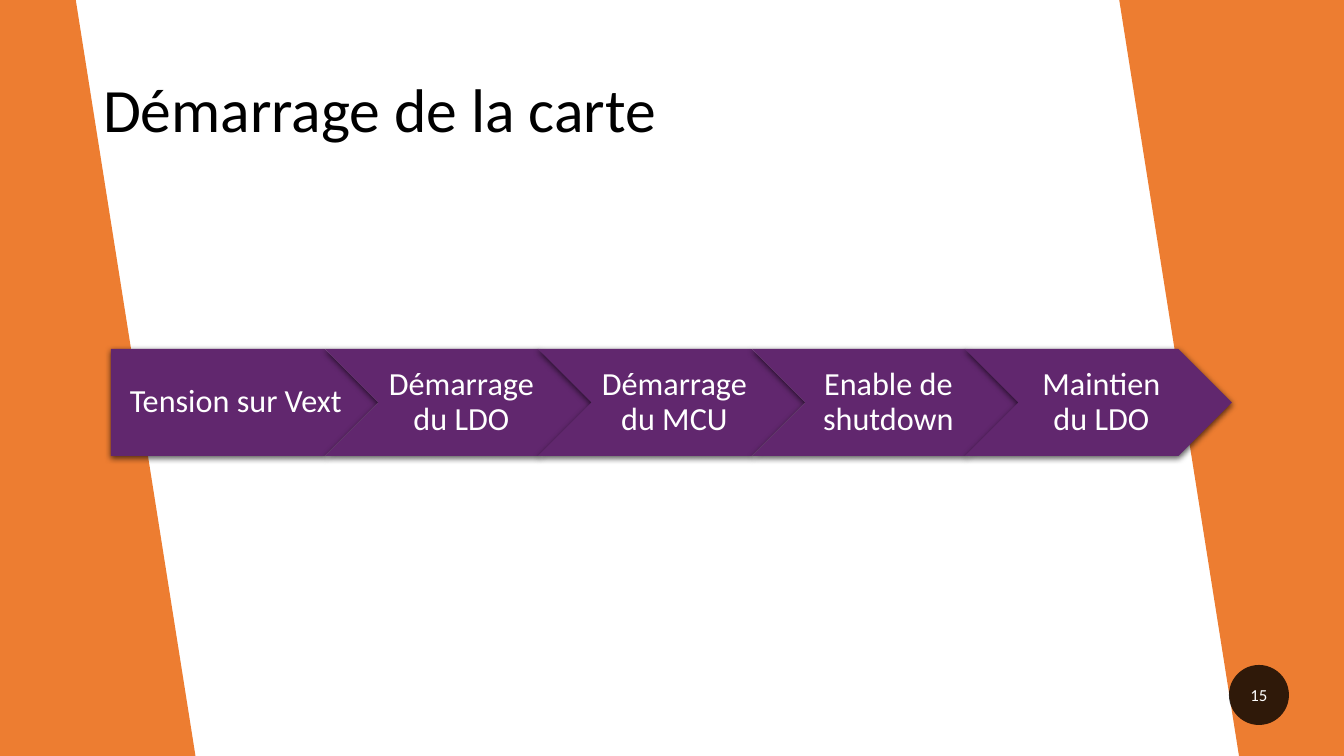
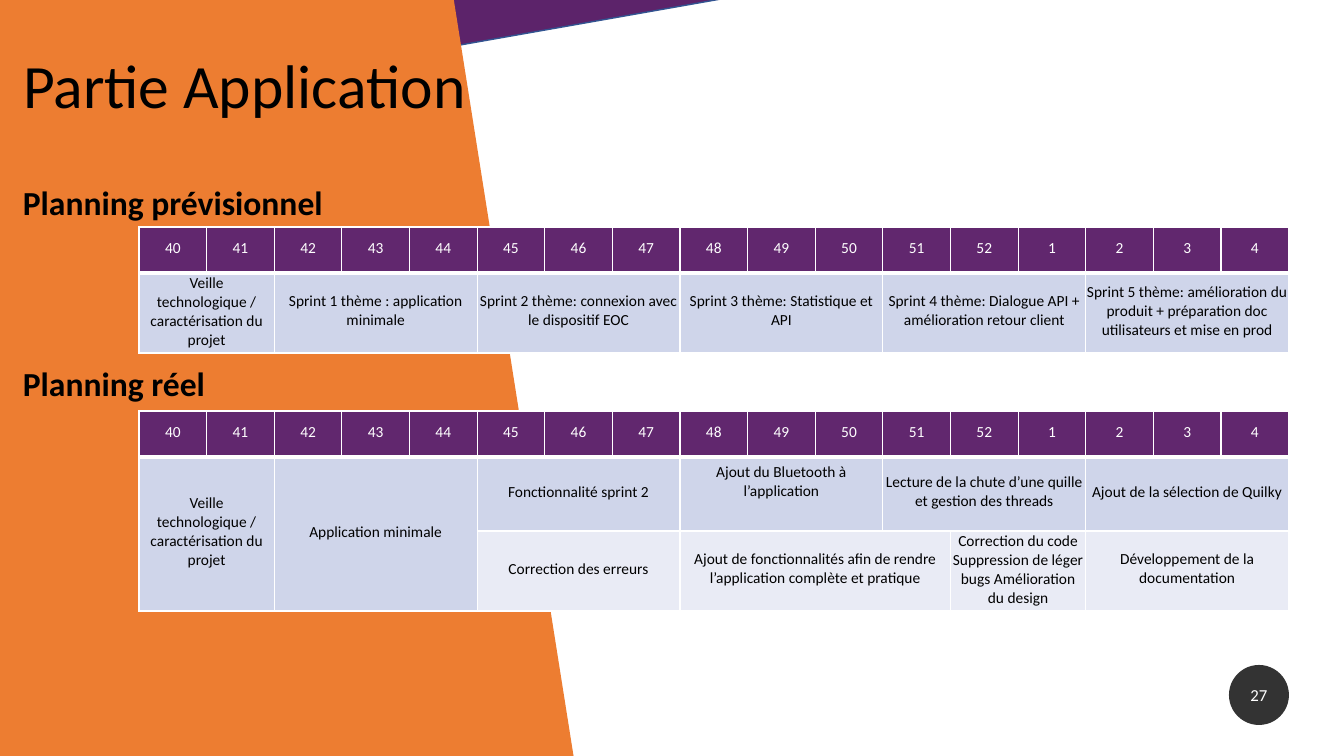
"""Build two project slides: the board start-up chain and the application schedule."""
from dataclasses import dataclass

from lxml import etree
from pptx import Presentation
from pptx import util as u
from pptx.dml.color import RGBColor
from pptx.enum import shapes, text
from pptx.oxml import ns

SCALE = 12192000 / 1344
FONT = "Calibri"
ORANGE, PURPLE, DARK_PURPLE, NAVY = "ED7D31", "61276E", "5C236A", "325491"
BLACK, WHITE = "000000", "FFFFFF"
BODY_FILLS = ("CFD5EA", "E9EBF5")
WEEKS = [*range(40, 53), *range(1, 5)]
CHAIN_LEFT, CHAIN_TOP, STEP_WIDTH, STEP_HEIGHT = 111, 349, 267, 107
TABLE_LEFT, TABLE_WIDTH, HEADER_HEIGHT, BODY_HEIGHT = 139, 1150, 46, 74


@dataclass(frozen=True)
class Band:
    """A tilted background rectangle."""
    left: int
    top: int
    width: int
    height: int
    angle: int = 351
    fill: str = ORANGE
    line: str | None = None


@dataclass(frozen=True)
class Task:
    """A task spanning weeks and rows of a schedule."""
    row: int
    column: int
    weeks: int
    label: str
    rows: int = 1
    bottom: int = 5


@dataclass(frozen=True)
class Schedule:
    """A headed schedule table."""
    heading: str
    heading_top: int
    table_top: int
    body_rows: int
    tasks: tuple[Task, ...]


STARTUP_BANDS = (Band(-409, -91, 545, 985), Band(1176, -156, 545, 985))
PLANNING_BANDS = (
    Band(206, -1124, 545, 1778, 260, DARK_PURPLE, NAVY),
    Band(-63, -65, 581, 985),
)
STEPS = ("Tension sur Vext", "Démarrage du LDO", "Démarrage du MCU",
         "Enable de shutdown", "Maintien du LDO")
WATCH = "Veille technologique / caractérisation du projet"
SCHEDULES = (
    Schedule("Planning prévisionnel", 177, 227, 1, (
        Task(1, 0, 2, WATCH),
        Task(1, 2, 3, "Sprint 1 thème : application minimale"),
        Task(1, 5, 3, "Sprint 2 thème: connexion avec le dispositif EOC"),
        Task(1, 8, 3, "Sprint 3 thème: Statistique et API"),
        Task(1, 11, 3, "Sprint 4 thème: Dialogue API + amélioration retour client"),
        Task(1, 14, 3, "Sprint 5 thème: amélioration du produit + préparation doc "
                       "utilisateurs et mise en prod"),
    )),
    Schedule("Planning réel", 358, 411, 2, (
        Task(1, 0, 2, WATCH, rows=2),
        Task(1, 2, 3, "Application minimale", rows=2),
        Task(1, 5, 3, "Fonctionnalité sprint 2"),
        Task(1, 8, 3, "Ajout du Bluetooth à l’application", bottom=25),
        Task(1, 11, 3, "Lecture de la chute d’une quille et gestion des threads"),
        Task(1, 14, 3, "Ajout de la sélection de Quilky"),
        Task(2, 5, 3, "Correction des erreurs"),
        Task(2, 8, 4, "Ajout de fonctionnalités afin de rendre l’application "
                      "complète et pratique"),
        Task(2, 12, 2, "Correction du code\nSuppression de léger bugs Amélioration du design"),
        Task(2, 14, 3, "Développement de la documentation"),
    )),
)


def px(length: float) -> u.Emu:
    """Turn px into EMU."""
    return u.Emu(round(length * SCALE))


def color(value: str) -> RGBColor:
    """Read a hex colour."""
    return RGBColor.from_string(value)


def write(frame, label: str, size: int, ink: str, align=text.PP_ALIGN.CENTER,
          bold: bool = False, spacing: float | None = None) -> None:
    """Fill a text frame and format its runs."""
    frame.text = label
    for para in frame.paragraphs:
        para.alignment = align
        para.line_spacing = spacing
        for span in para.runs:
            span.font.name = FONT
            span.font.size = u.Pt(size)
            span.font.bold = bold
            span.font.color.rgb = color(ink)


def set_margins(target, left: int, top: int, right: int, bottom: int) -> None:
    """Set the insets of a text frame or cell."""
    target.margin_left, target.margin_top = px(left), px(top)
    target.margin_right, target.margin_bottom = px(right), px(bottom)


def add_filled(page, kind, left: int, top: int, width: int, height: int,
               fill: str, line: str | None = None):
    """Add a flat preset shape."""
    shape = page.shapes.add_shape(kind, px(left), px(top), px(width), px(height))
    shape.shadow.inherit = False
    shape.fill.solid()
    shape.fill.fore_color.rgb = color(fill)
    if line:
        shape.line.color.rgb = color(line)
        shape.line.width = u.Pt(1)
    else:
        shape.line.fill.background()
    return shape


def add_alpha(color_element, percent: int) -> None:
    """Make a colour element partly transparent."""
    etree.SubElement(color_element, ns.qn("a:alpha"), val=str(percent * 1000))


def add_shadow(shape) -> None:
    """Cast a soft shadow below a shape."""
    effects = shape._element.spPr.find(ns.qn("a:effectLst"))
    shadow = etree.SubElement(effects, ns.qn("a:outerShdw"), blurRad=str(u.Pt(4.5)),
                              dist=str(u.Pt(1.5)), dir="5400000", rotWithShape="0")
    add_alpha(etree.SubElement(shadow, ns.qn("a:srgbClr"), val=BLACK), 63)


def add_page(deck, title: str, left: int, top: int, number: int, bands: tuple[Band, ...]):
    """Add a slide with its bands, title and number badge."""
    page = deck.slides.add_slide(deck.slide_layouts[5])
    for band in bands:
        shape = add_filled(page, shapes.MSO_SHAPE.RECTANGLE, band.left, band.top,
                           band.width, band.height, band.fill, band.line)
        shape.rotation = band.angle

    box = page.shapes.title
    page.shapes._spTree.append(box._element)
    box.left, box.top, box.width, box.height = px(left), px(top), px(1159), px(146)
    frame = box.text_frame
    frame.word_wrap = True
    frame.auto_size = text.MSO_AUTO_SIZE.NONE
    frame.vertical_anchor = text.MSO_ANCHOR.MIDDLE
    write(frame, title, 44, BLACK, text.PP_ALIGN.LEFT, spacing=0.9)

    badge = add_filled(page, shapes.MSO_SHAPE.OVAL, 1229, 665, 60, 60, BLACK)
    add_alpha(badge._element.spPr.find(".//" + ns.qn("a:srgbClr")), 80)
    badge.text_frame.vertical_anchor = text.MSO_ANCHOR.MIDDLE
    set_margins(badge.text_frame, 0, 0, 0, 0)
    write(badge.text_frame, str(number), 12, WHITE)
    return page


def add_chain(page) -> None:
    """Draw the start-up steps, each overlapping the last by a fifth."""
    for index, label in enumerate(STEPS):
        kind = shapes.MSO_SHAPE.CHEVRON if index else shapes.MSO_SHAPE.PENTAGON
        left = CHAIN_LEFT + round(index * STEP_WIDTH * 0.8)
        step = add_filled(page, kind, left, CHAIN_TOP, STEP_WIDTH, STEP_HEIGHT, PURPLE)
        add_shadow(step)
        frame = step.text_frame
        frame.word_wrap = True
        frame.vertical_anchor = text.MSO_ANCHOR.MIDDLE
        set_margins(frame, 9 if index else 13, 7, 3, 7)
        write(frame, label, 23, WHITE, spacing=0.9)


def style_cell(cell, fill: str, bottom_line: int = 1) -> None:
    """Give a cell white borders, a fill and tight margins."""
    properties = cell._tc.get_or_add_tcPr()
    for side, width in (("L", 1), ("R", 1), ("T", 1), ("B", bottom_line)):
        line = etree.SubElement(properties, ns.qn(f"a:ln{side}"), w=str(u.Pt(width)))
        solid = etree.SubElement(line, ns.qn("a:solidFill"))
        etree.SubElement(solid, ns.qn("a:srgbClr"), val=WHITE)
    cell.fill.solid()
    cell.fill.fore_color.rgb = color(fill)
    cell.vertical_anchor = text.MSO_ANCHOR.MIDDLE
    set_margins(cell, 1, 1, 1, 5)


def add_schedule(page, schedule: Schedule) -> None:
    """Draw a schedule heading and its table."""
    box = page.shapes.add_textbox(px(13), px(schedule.heading_top), px(467), px(92))
    box.text_frame.word_wrap = True
    write(box.text_frame, schedule.heading, 24, BLACK, text.PP_ALIGN.LEFT, bold=True)

    height = HEADER_HEIGHT + schedule.body_rows * BODY_HEIGHT
    table = page.shapes.add_table(schedule.body_rows + 1, len(WEEKS), px(TABLE_LEFT),
                                  px(schedule.table_top), px(TABLE_WIDTH), px(height)).table
    table.first_row = table.horz_banding = False
    for column in table.columns:
        column.width = px(TABLE_WIDTH / len(WEEKS))
    for index, row in enumerate(table.rows):
        row.height = px(BODY_HEIGHT if index else HEADER_HEIGHT)
        for cell in row.cells:
            if index:
                style_cell(cell, BODY_FILLS[index - 1])
            else:
                style_cell(cell, PURPLE, bottom_line=3)
    for column, week in enumerate(WEEKS):
        write(table.cell(0, column).text_frame, str(week), 11, WHITE)
    for task in schedule.tasks:
        cell = table.cell(task.row, task.column)
        cell.merge(table.cell(task.row + task.rows - 1, task.column + task.weeks - 1))
        cell.margin_bottom = px(task.bottom)
        write(cell.text_frame, task.label, 11, BLACK)


def main() -> None:
    """Build and save the deck."""
    deck = Presentation()
    deck.slide_width, deck.slide_height = px(1344), px(756)
    add_chain(add_page(deck, "Démarrage de la carte", 93, 40, 15, STARTUP_BANDS))
    planning = add_page(deck, "Partie Application", 13, 16, 27, PLANNING_BANDS)
    for schedule in SCHEDULES:
        add_schedule(planning, schedule)
    deck.save("out.pptx")


if __name__ == "__main__":
    main()
